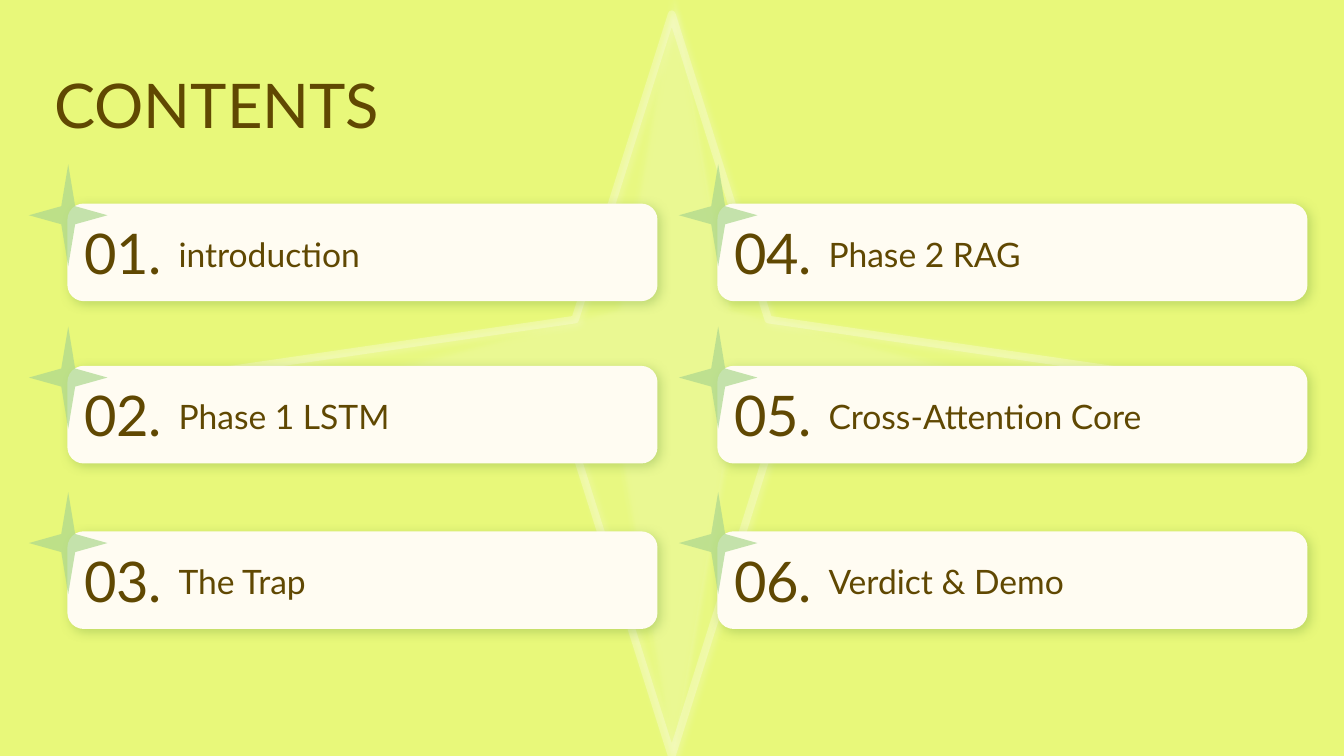
"""Build the contents slide with six numbered section cards."""
import lxml.etree
import pptx
import pptx.dml.color
import pptx.enum.shapes
import pptx.enum.text
import pptx.oxml.ns
import pptx.util

Cm = pptx.util.Cm
Pt = pptx.util.Pt
RGBColor = pptx.dml.color.RGBColor
SHAPE = pptx.enum.shapes.MSO_SHAPE
ANCHOR = pptx.enum.text.MSO_ANCHOR
qn = pptx.oxml.ns.qn

LIME = RGBColor(0xE8, 0xF8, 0x7A)
CREAM = RGBColor(0xFF, 0xFC, 0xF2)
WHITE = RGBColor(0xFF, 0xFF, 0xFF)
LEAF = RGBColor(0xAC, 0xD7, 0x8E)
MOSS = RGBColor(0x58, 0x8E, 0x32)
BROWN = RGBColor(0x60, 0x48, 0x02)

prs = pptx.Presentation()
prs.slide_width = Cm(33.87)
prs.slide_height = Cm(19.05)
s = prs.slides.add_slide(prs.slide_layouts[6])
s.background.fill.solid()
s.background.fill.fore_color.rgb = LIME


def add_shape(kind, box, adj, color, alpha=100, shadow=None, outline_alpha=None):
    sp = s.shapes.add_shape(kind, *map(Cm, box))
    sp.adjustments[0] = adj
    sp.fill.solid()
    sp.fill.fore_color.rgb = color
    sp.line.fill.background()
    if outline_alpha:
        sp.line.color.rgb = color
        sp.line.width = Pt(5.5)
    sp.shadow.inherit = False
    levels = (alpha, outline_alpha) if outline_alpha else (alpha,)
    for clr, level in zip(sp.element.spPr.iter(qn("a:srgbClr")), levels):
        if level < 100:
            lxml.etree.SubElement(clr, qn("a:alpha"), val=str(level * 1000))
    if shadow:
        shade, opacity, blur = shadow
        effects = sp.element.spPr.find(qn("a:effectLst"))
        outer = lxml.etree.SubElement(
            effects, qn("a:outerShdw"), blurRad=str(Pt(blur)), dist=str(Pt(2.1)),
            dir="2700000", algn="tl", rotWithShape="0")
        clr = lxml.etree.SubElement(outer, qn("a:srgbClr"), val=str(shade))
        lxml.etree.SubElement(clr, qn("a:alpha"), val=str(opacity * 1000))


def add_text(text, box, size, anchor=ANCHOR.TOP):
    tf = s.shapes.add_textbox(*map(Cm, box)).text_frame
    tf.word_wrap = True
    tf.auto_size = pptx.enum.text.MSO_AUTO_SIZE.SHAPE_TO_FIT_TEXT
    tf.vertical_anchor = anchor
    p = tf.paragraphs[0]
    p.text = text
    p.font.name = "Lato"
    p.font.size = Pt(size)
    p.font.color.rgb = BROWN


glow = (WHITE, 75, 4)
add_shape(SHAPE.STAR_4_POINT, (9.12, -0.15, 15.62, 19.2), 0.125, LIME, 28, glow)
add_shape(SHAPE.STAR_4_POINT, (3.15, 0.36, 27.56, 18.69), 0.125, CREAM, 4, glow, 28)
add_text("CONTENTS", (1.12, 1.55, 12.5, 1.91), 44)

columns = [
    (1.7, ["introduction", "Phase 1 LSTM", "The Trap"]),
    (18.08, ["Phase 2 RAG", "Cross-Attention Core", "Verdict & Demo"]),
]
card_tops = [5.13, 9.22, 13.39]
number = 0
for x, titles in columns:
    for y, title in zip(card_tops, titles):
        number += 1
        add_shape(SHAPE.ROUNDED_RECTANGLE, (x, y, 14.87, 2.46), 0.167, CREAM,
                  shadow=(MOSS, 31, 8))
        add_shape(SHAPE.STAR_4_POINT, (x - 0.97, y - 0.99, 1.98, 2.57), 0.125, LEAF, 70)
        add_text(f"{number:02}.", (x + 0.17, y + 0.25, 2.64, 1.7), 40)
        add_text(title, (x + 2.55, y + 0.63, 12.32, 1.27), 24, ANCHOR.MIDDLE)

prs.save("out.pptx")
